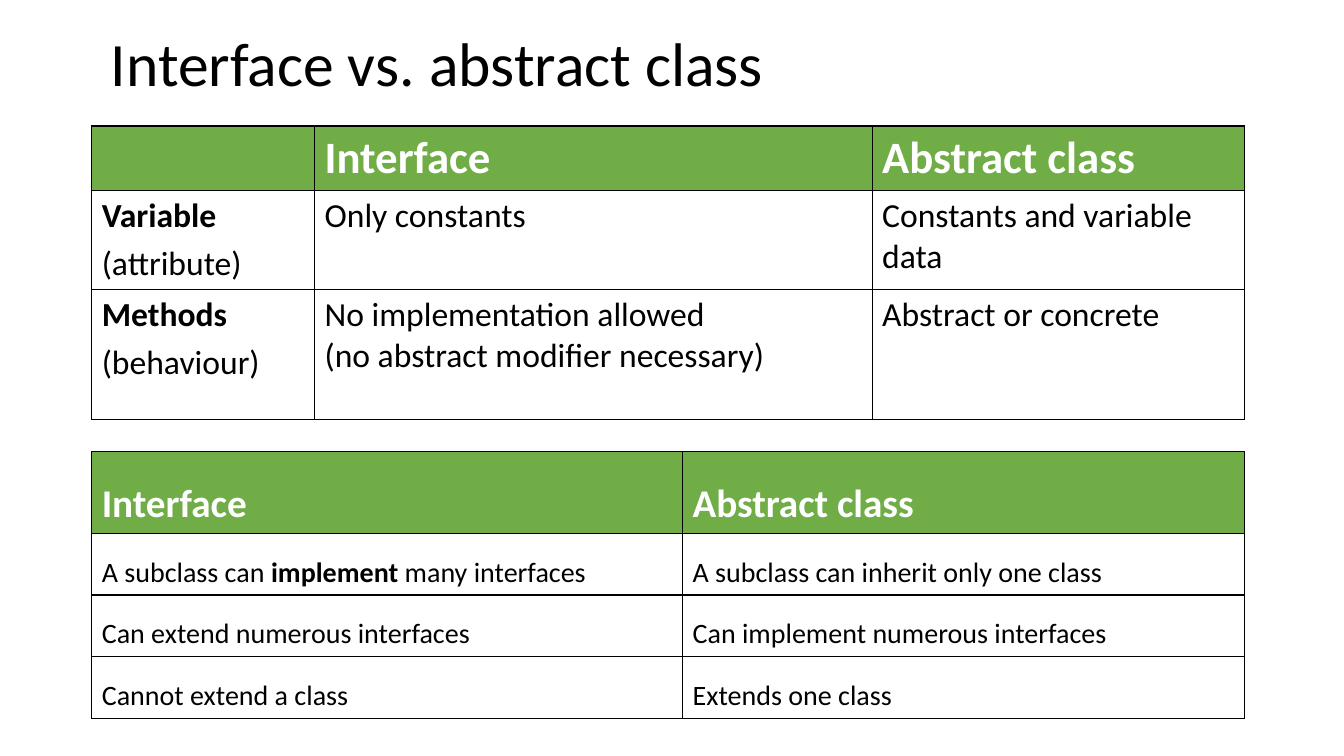
"""Build a slide that sets interfaces against abstract classes."""
from lxml.etree import SubElement as Sub
from pptx import Presentation
from pptx.dml.color import RGBColor
from pptx.enum.text import MSO_ANCHOR as Anchor, MSO_AUTO_SIZE as Fit, PP_ALIGN as Align
from pptx.oxml.ns import qn
from pptx.util import Inches, Pt

BLACK = RGBColor(0, 0, 0)
WHITE = RGBColor(255, 255, 255)
GREEN = RGBColor(0x70, 0xAD, 0x47)
LEFT = 0.91

ROLES = [
    ["", "Interface", "Abstract class"],
    ["*Variable*\n(attribute)", "Only constants", "Constants and variable data"],
    ["*Methods*\n(behaviour)",
     "No implementation allowed \v(no abstract modifier necessary)",
     "Abstract or concrete"],
]
RULES = [
    ["Interface", "Abstract class"],
    ["A subclass can *implement* many interfaces ",
     "A subclass can inherit only one class"],
    ["Can extend numerous interfaces", "Can implement numerous interfaces"],
    ["Cannot extend a class", "Extends one class"],
]


def apply(item, values):
    """Set each attribute in values on item."""
    for name, value in values.items():
        setattr(item, name, value)


def add_runs(para, text, size, color, bold=False):
    """Write text, with starred parts bold and vertical tabs as line breaks."""
    for i, part in enumerate(text.split("*")):
        for j, line in enumerate(part.split("\v")):
            if j:
                para.add_line_break()
            if line:
                run = para.add_run()
                run.text = line
                apply(run.font, {"name": "Calibri", "size": Pt(size),
                                 "bold": bold or i % 2 == 1})
                run.font.color.rgb = color


def add_edges(cell):
    """Draw a thin black line on all four sides of a cell."""
    props = cell._tc.get_or_add_tcPr()
    for side in ("lnL", "lnR", "lnT", "lnB"):
        line = Sub(props, qn(f"a:{side}"), w=str(Pt(1)))
        Sub(Sub(line, qn("a:solidFill")), qn("a:srgbClr"), val=str(BLACK))


def fill_cell(cell, text, size, space, head):
    """Write and colour one cell."""
    add_edges(cell)
    cell.fill.solid()
    cell.fill.fore_color.rgb = GREEN if head else WHITE
    frame = cell.text_frame
    for i, line in enumerate(text.split("\n")):
        para = frame.add_paragraph() if i else frame.paragraphs[0]
        apply(para, {"line_spacing": space,
                     "space_before": Pt(0.2 * size if i else 0)})
        add_runs(para, line, size, WHITE if head else BLACK, head)


def add_grid(slide, data, top, cols, rows, sizes, space):
    """Add a table with a green head row; sizes holds head and body points."""
    grid = slide.shapes.add_table(
        len(rows), len(cols), Inches(LEFT), Inches(top),
        Inches(sum(cols)), Inches(sum(rows))).table
    for col, width in zip(grid.columns, cols):
        col.width = Inches(width)
    for r, (row, height) in enumerate(zip(grid.rows, rows)):
        row.height = Inches(height)
        for cell, text in zip(row.cells, data[r]):
            fill_cell(cell, text, sizes[min(r, 1)], space, r == 0)


def set_title(slide, text):
    """Place and write the slide title."""
    title = slide.shapes.title
    apply(title, {"left": Inches(1), "top": Inches(0.08),
                  "width": Inches(11.33), "height": Inches(1.17)})
    frame = title.text_frame
    apply(frame, {"vertical_anchor": Anchor.MIDDLE, "auto_size": Fit.NONE,
                  "word_wrap": True})
    para = frame.paragraphs[0]
    apply(para, {"alignment": Align.LEFT, "line_spacing": 0.9})
    add_runs(para, text, 44, BLACK)


def main():
    """Make the deck and save it."""
    deck = Presentation()
    apply(deck, {"slide_width": Inches(13.33), "slide_height": Inches(7.5)})
    slide = deck.slides.add_slide(deck.slide_layouts.get_by_name("Title Only"))
    set_title(slide, "Interface vs. abstract class")
    add_grid(slide, ROLES, 1.25, [2.21, 5.53, 3.69], [0.64, 0.98, 1.29],
             (32, 24), 1.0)
    add_grid(slide, RULES, 4.48, [5.86, 5.57], [0.81] + [0.61] * 3,
             (28, 20), 1.5)
    deck.save("out.pptx")


main()
